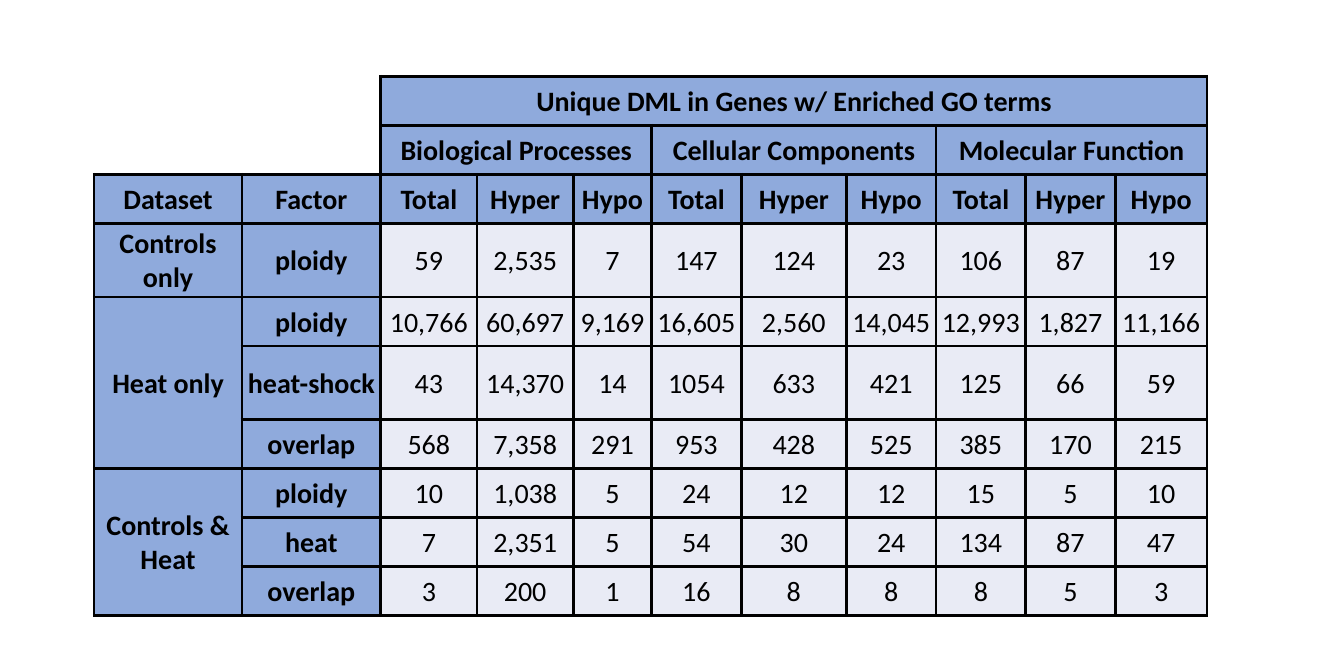
import lxml.etree
import pptx
import pptx.dml.color
import pptx.enum.text
import pptx.oxml.ns
import pptx.util

Inches = pptx.util.Inches
BLACK = pptx.dml.color.RGBColor(0x00, 0x00, 0x00)
WHITE = pptx.dml.color.RGBColor(0xFF, 0xFF, 0xFF)
HEADER_BLUE = pptx.dml.color.RGBColor(0x8F, 0xAA, 0xDC)
BODY_TINT = pptx.dml.color.RGBColor(0xE9, 0xEB, 0xF5)

TEXT_SIZE = pptx.util.Pt(9)
BORDER_WIDTH = pptx.util.Pt(1)
HEADER_ROWS = 3
LABEL_COLUMNS = 2
COLUMN_WIDTHS = [0.66, 0.62, 0.43, 0.43, 0.35, 0.4, 0.47, 0.4, 0.4, 0.4, 0.41]
ROW_HEIGHTS = [0.22, 0.22, 0.22, 0.33, 0.22, 0.33, 0.22, 0.22, 0.22, 0.22]

GO_CATEGORIES = ["Biological Processes", "Cellular Components", "Molecular Function"]
RESULTS = {
    "Controls only": [
        ["ploidy", "59", "2,535", "7", "147", "124", "23", "106", "87", "19"],
    ],
    "Heat only": [
        ["ploidy", "10,766", "60,697", "9,169", "16,605", "2,560", "14,045", "12,993", "1,827", "11,166"],
        ["heat-shock", "43", "14,370", "14", "1054", "633", "421", "125", "66", "59"],
        ["overlap", "568", "7,358", "291", "953", "428", "525", "385", "170", "215"],
    ],
    "Controls & Heat": [
        ["ploidy", "10", "1,038", "5", "24", "12", "12", "15", "5", "10"],
        ["heat", "7", "2,351", "5", "54", "30", "24", "134", "87", "47"],
        ["overlap", "3", "200", "1", "16", "8", "8", "8", "5", "3"],
    ],
}

CELL_FORMAT = {
    "vertical_anchor": pptx.enum.text.MSO_ANCHOR.MIDDLE,
    "margin_left": Inches(0.01),
    "margin_right": Inches(0.01),
    "margin_top": Inches(0.01),
    "margin_bottom": 0,
}
FONT_FORMAT = {"name": "Calibri", "size": TEXT_SIZE}


def table_rows():
    rows = [
        ["", "", "Unique DML in Genes w/ Enriched GO terms"] + [""] * 8,
        ["", ""] + [text for category in GO_CATEGORIES for text in (category, "", "")],
        ["Dataset", "Factor"] + ["Total", "Hyper", "Hypo"] * len(GO_CATEGORIES),
    ]
    for dataset, factors in RESULTS.items():
        for index, values in enumerate(factors):
            rows.append([dataset if index == 0 else ""] + values)
    return rows


def merge_cells(table):
    table.cell(0, LABEL_COLUMNS).merge(table.cell(0, len(COLUMN_WIDTHS) - 1))
    for column in range(LABEL_COLUMNS, len(COLUMN_WIDTHS), 3):
        table.cell(1, column).merge(table.cell(1, column + 2))
    row = HEADER_ROWS
    for factors in RESULTS.values():
        if len(factors) > 1:
            table.cell(row, 0).merge(table.cell(row + len(factors) - 1, 0))
        row += len(factors)


def set_borders(cell, visible_sides):
    properties = cell._tc.get_or_add_tcPr()
    for side in "LRTB":
        line = lxml.etree.SubElement(
            properties, pptx.oxml.ns.qn(f"a:ln{side}"), w=str(BORDER_WIDTH)
        )
        if side in visible_sides:
            fill = lxml.etree.SubElement(line, pptx.oxml.ns.qn("a:solidFill"))
            lxml.etree.SubElement(fill, pptx.oxml.ns.qn("a:srgbClr"), val=str(BLACK))
        else:
            lxml.etree.SubElement(line, pptx.oxml.ns.qn("a:noFill"))


def fill_cell(cell, text, color, bold, visible_sides):
    for name, value in CELL_FORMAT.items():
        setattr(cell, name, value)
    set_borders(cell, visible_sides)
    cell.fill.solid()
    cell.fill.fore_color.rgb = color
    paragraph = cell.text_frame.paragraphs[0]
    paragraph.alignment = pptx.enum.text.PP_ALIGN.CENTER
    if text:
        run = paragraph.add_run()
        run.text = text
        for name, value in FONT_FORMAT.items():
            setattr(run.font, name, value)
        run.font.bold = bold
        run.font.color.rgb = BLACK
    lxml.etree.SubElement(
        paragraph._p, pptx.oxml.ns.qn("a:endParaRPr"), sz=str(int(TEXT_SIZE.pt * 100))
    )


def add_results_table(slide, left, top, width, height):
    rows = table_rows()
    table = slide.shapes.add_table(
        len(rows), len(COLUMN_WIDTHS), left, top, width, height
    ).table
    table.first_row = False
    table.horz_banding = False
    for column, share in zip(table.columns, COLUMN_WIDTHS):
        column.width = int(width * share / sum(COLUMN_WIDTHS))
    for row, share in zip(table.rows, ROW_HEIGHTS):
        row.height = int(height * share / sum(ROW_HEIGHTS))
    merge_cells(table)
    for row, texts in enumerate(rows):
        for column, text in enumerate(texts):
            is_label = row < HEADER_ROWS or column < LABEL_COLUMNS
            color = HEADER_BLUE if is_label else BODY_TINT
            visible_sides = "LRTB"
            if row < HEADER_ROWS - 1 and column < LABEL_COLUMNS:
                color = WHITE
                visible_sides = ("R" if column == 1 else "") + ("B" if row == 1 else "")
            fill_cell(table.cell(row, column), text, color, is_label, visible_sides)


def main():
    presentation = pptx.Presentation()
    presentation.slide_width = Inches(6)
    presentation.slide_height = Inches(3)
    slide = presentation.slides.add_slide(presentation.slide_layouts[6])
    add_results_table(slide, Inches(0.42), Inches(0.34), Inches(4.97), Inches(2.41))
    presentation.save("out.pptx")


if __name__ == "__main__":
    main()
